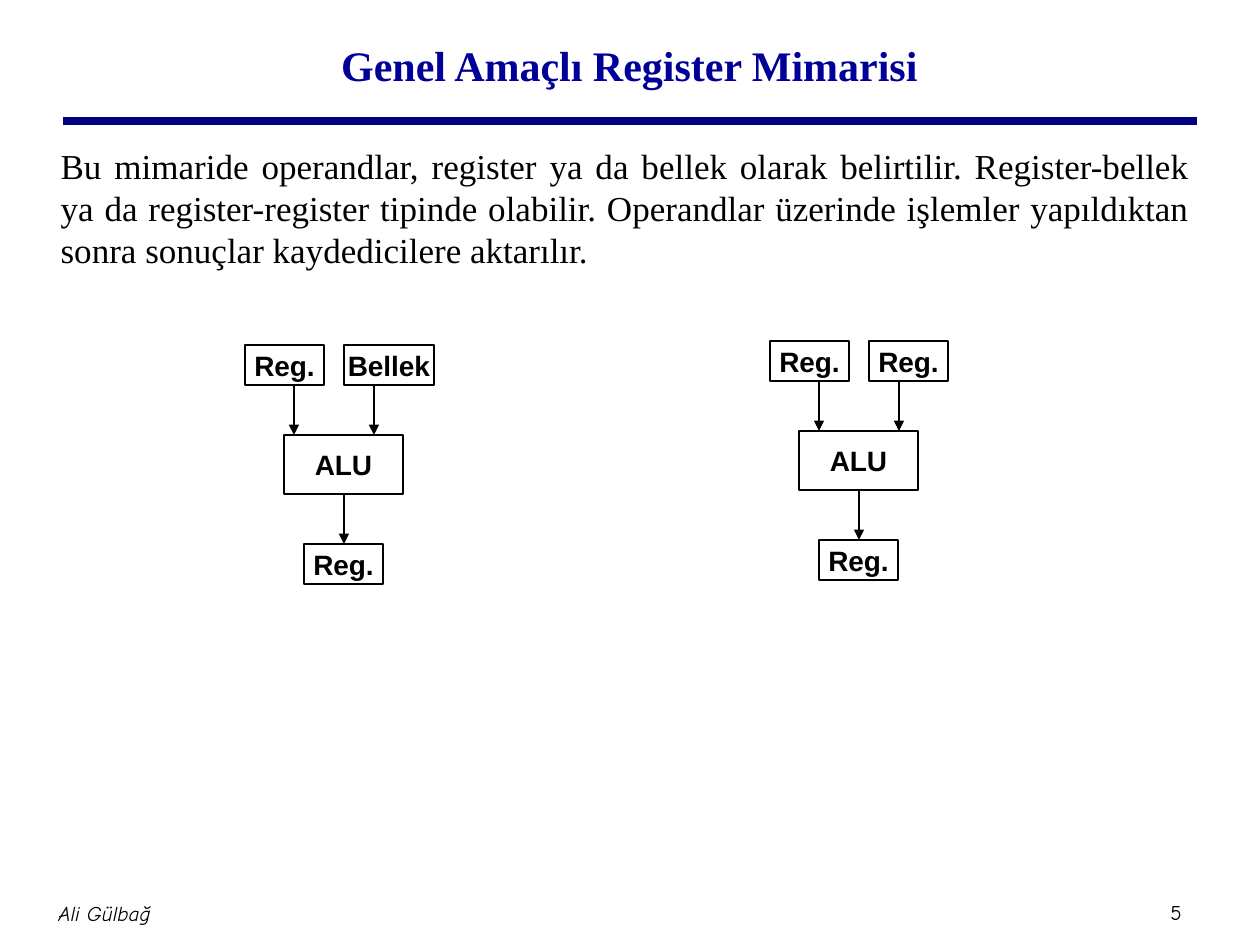
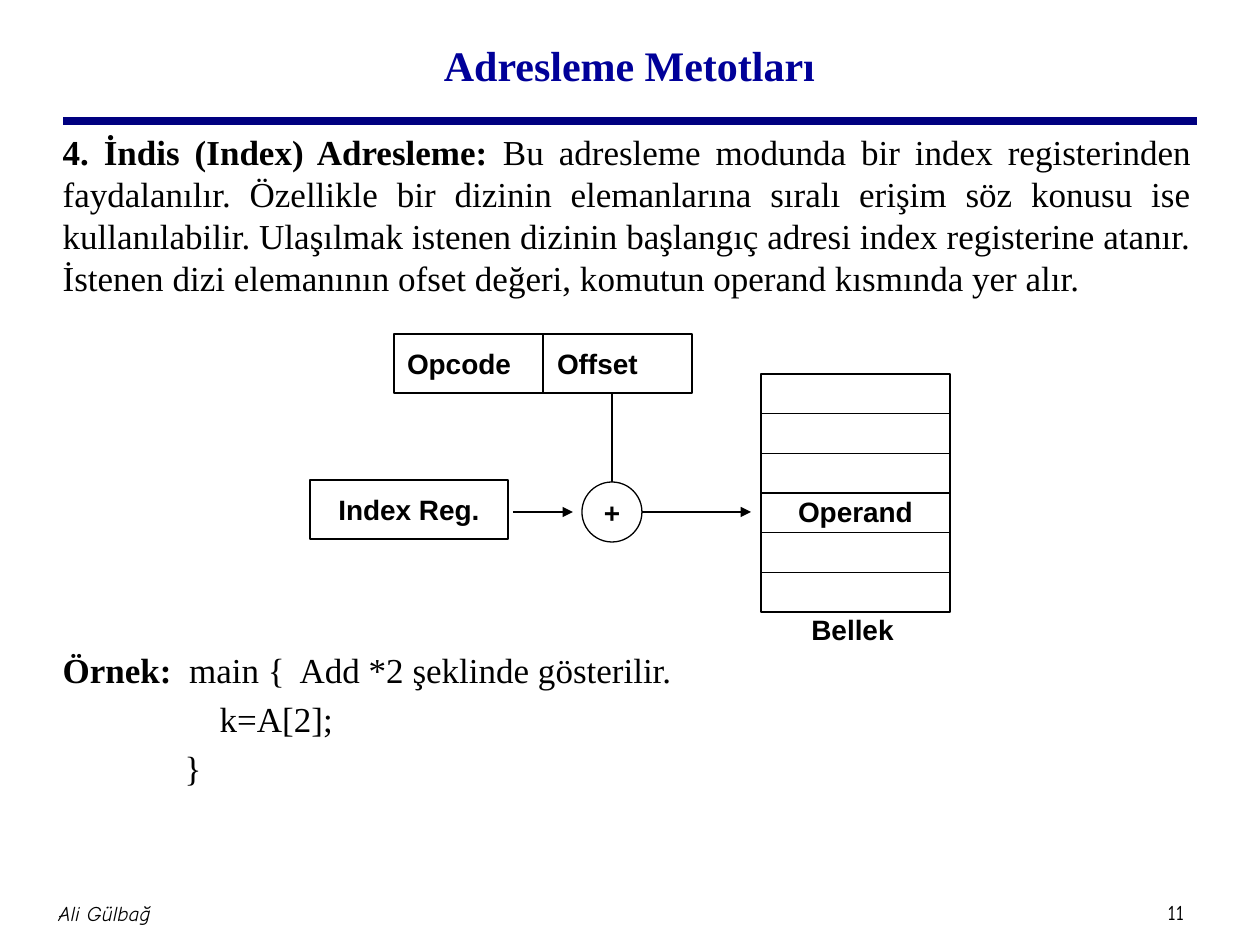
import pptx
import pptx.util
import pptx.dml.color
import pptx.enum.shapes
import pptx.enum.text
import pptx.oxml.ns
import lxml.etree

PX = 914400 / 126
INK = {"title": "000099", "rule": "000080", "text": "000000", "fill": "FFFFFF"}
SERIF, SANS, HAND = "Times New Roman", "Arial", "Comic Neue"
ALIGN = pptx.enum.text.PP_ALIGN
SHAPE = pptx.enum.shapes.MSO_SHAPE
qn = pptx.oxml.ns.qn


def rgb(name):
    """Return a palette colour."""
    return pptx.dml.color.RGBColor.from_string(INK[name])


def emu(*sizes):
    """Turn pixels into EMU."""
    return [round(size * PX) for size in sizes]


def style(para, face, size, bold=False, italic=False, ink="text"):
    """Format every run of a paragraph."""
    for run in para.runs:
        font = run.font
        font.name, font.size = face, pptx.util.Pt(size)
        font.bold, font.italic = bold, italic
        font.color.rgb = rgb(ink)


def dent(para, left, hang=0):
    """Set the left margin and the hanging indent of a paragraph."""
    props = para._p.get_or_add_pPr()
    props.set("marL", str(emu(left)[0]))
    props.set("indent", str(emu(-hang)[0]))
    return props


def frame(shape, left=0, top=0):
    """Prepare the text frame of a shape and return it."""
    text = shape.text_frame
    text.word_wrap = True
    text.auto_size = pptx.enum.text.MSO_AUTO_SIZE.NONE
    text.vertical_anchor = pptx.enum.text.MSO_ANCHOR.MIDDLE
    text.margin_left, text.margin_top = emu(left, top)
    text.margin_right = text.margin_bottom = 0
    return text


def label(board, box, words, face=SANS, size=16, bold=True, italic=False):
    """Add a centred line of text."""
    text = frame(board.add_textbox(*emu(*box)))
    text.text = words
    para = text.paragraphs[0]
    para.alignment = ALIGN.CENTER
    style(para, face, size, bold, italic)


def cell(board, box, words, kind=SHAPE.RECTANGLE, left=0, top=0):
    """Add an outlined shape, its text centred or set in from the left."""
    shape = board.add_shape(kind, *emu(*box))
    shape.shadow.inherit = False
    shape.fill.solid()
    shape.fill.fore_color.rgb = rgb("fill")
    shape.line.color.rgb = rgb("text")
    shape.line.width = pptx.util.Pt(0.75)
    text = frame(shape, left, top)
    text.text = words
    para = text.paragraphs[0]
    para.alignment = ALIGN.LEFT if left else ALIGN.CENTER
    style(para, SANS, 16, True)
    return para


def line(board, start, end, arrow=True, ink="text", width=0.75):
    """Add a straight line, with an arrowhead at its end if asked."""
    link = board.add_connector(
        pptx.enum.shapes.MSO_CONNECTOR.STRAIGHT, *emu(*start, *end))
    link.line.color.rgb = rgb(ink)
    link.line.width = pptx.util.Pt(width)
    if arrow:
        lxml.etree.SubElement(link.line._ln, qn("a:tailEnd"), type="triangle")
    lxml.etree.SubElement(link._element.spPr, qn("a:effectLst"))


def place(shape, box):
    """Move a placeholder to a box."""
    shape.left, shape.top, shape.width, shape.height = emu(*box)


def base(deck, title, number):
    """Add a slide with the shared title, rule and footer."""
    slide = deck.slides.add_slide(deck.slide_layouts[1])
    board = slide.shapes
    line(board, (63, 121), (1197, 121), False, "rule", 4.5)
    label(board, (1147, 893, 58, 38), number, HAND, 12, False)
    label(board, (44, 882, 121, 63), "Ali Gülbağ", HAND, 12, False, True)
    head = board.title
    place(head, (94, 11, 1071, 108))
    text = frame(head)
    text.text = title
    para = text.paragraphs[0]
    para.alignment = ALIGN.CENTER
    style(para, SERIF, 24, True, ink="title")
    return slide


def body(slide, box, items):
    """Fill the body from (lead, space, rest, align, left, hang, gap) rows."""
    shape = slide.placeholders[1]
    place(shape, box)
    text = shape.text_frame
    text.auto_size = pptx.enum.text.MSO_AUTO_SIZE.NONE
    text.text = "\n".join(item[2] for item in items)
    for para, item in zip(text.paragraphs, items):
        lead, space, rest, align, left, hang, gap = item
        if lead:
            para.text = lead
            para.add_run().text = " "
            para.add_run().text = rest
        para.alignment = align
        para.space_before = pptx.util.Pt(gap)
        style(para, SERIF, 20)
        if lead:
            para.runs[0].font.bold = True
            para.runs[1].font._element.set("spc", str(space * 100))
        lxml.etree.SubElement(dent(para, left, hang), qn("a:buNone"))


def flow(slide, left, top, second, wide, shift):
    """Draw two sources feeding an ALU and its result."""
    board = slide.shapes.add_group_shape().shapes
    cell(board, (left, top, 79, 40), "Reg.")
    cell(board, (left + 99, top, wide, 40), second)
    alu = left + shift
    cell(board, (alu, top + 90, 119, 59), "ALU")
    cell(board, (alu + 20, top + 199, 79, 40), "Reg.")
    for x in (left + 49, left + 129):
        line(board, (x, top + 40), (x, top + 90))
    line(board, (alu + 60, top + 149), (alu + 60, top + 199))


def store(board, left, top, wide, tall):
    """Draw the memory as six equal rows with its label."""
    cell(board, (left, top, wide, tall), "Operand", top=36)
    for i in range(1, 6):
        y = top + i * tall / 6
        line(board, (left, y), (left + wide, y), False)
    label(board, (left, top + tall, wide - 6, 34), "Bellek")


def index(slide, left, top):
    """Draw indexed addressing: instruction, adder and memory."""
    board = slide.shapes.add_group_shape().shapes
    code, half = left + 84, 149
    para = cell(board, (code, top, 2 * half, 59), "Opcode\tOffset", left=13)
    dent(para, 24, 24)
    line(board, (code + half, top), (code + half, top + 59), False)
    store(board, left + 451, top + 40, 189, 238)
    hub, mid = left + 302, top + 178
    line(board, (hub, top + 59), (hub, mid - 30), False)
    cell(board, (left, mid - 32, 198, 59), "Index Reg.")
    cell(board, (hub - 30, mid - 30, 60, 60), "+", SHAPE.OVAL)
    line(board, (left + 203, mid), (hub - 39, mid))
    line(board, (hub + 30, mid), (left + 441, mid))


def main():
    """Build and save the deck."""
    deck = pptx.Presentation()
    deck.slide_width, deck.slide_height = emu(1260, 945)

    slide = base(deck, "Genel Amaçlı Register Mimarisi", "5")
    body(slide, (48, 138, 1154, 699), [
        ("", 0, "Bu mimaride operandlar, register ya da bellek olarak belirtilir. "
         "Register-bellek ya da register-register tipinde olabilir. Operandlar "
         "üzerinde işlemler yapıldıktan sonra sonuçlar kaydedicilere aktarılır.",
         ALIGN.JUSTIFY, 0, 0, 4)])
    flow(slide, 245, 345, "Bellek", 90, 39)
    flow(slide, 770, 341, "Reg.", 79, 29)

    slide = base(deck, "Adresleme Metotları", "11")
    body(slide, (50, 124, 1154, 699), [
        ("4. İndis (Index) Adresleme:", 0,
         "Bu adresleme modunda bir index registerinden faydalanılır. Özellikle "
         "bir dizinin elemanlarına sıralı erişim söz konusu ise kullanılabilir. "
         "Ulaşılmak istenen dizinin başlangıç adresi index registerine atanır. "
         "İstenen dizi elemanının ofset değeri, komutun operand kısmında yer alır.",
         ALIGN.JUSTIFY, 0, 0, 4),
        ("Örnek:", 5, "main {\tAdd *2 şeklinde gösterilir.",
         ALIGN.LEFT, 48, 48, 200),
        ("", 0, "k=A[2];", ALIGN.LEFT, 157, 0, 4),
        ("", 0, "}", ALIGN.LEFT, 122, 0, 4)])
    index(slide, 310, 334)
    deck.save("out.pptx")


main()
